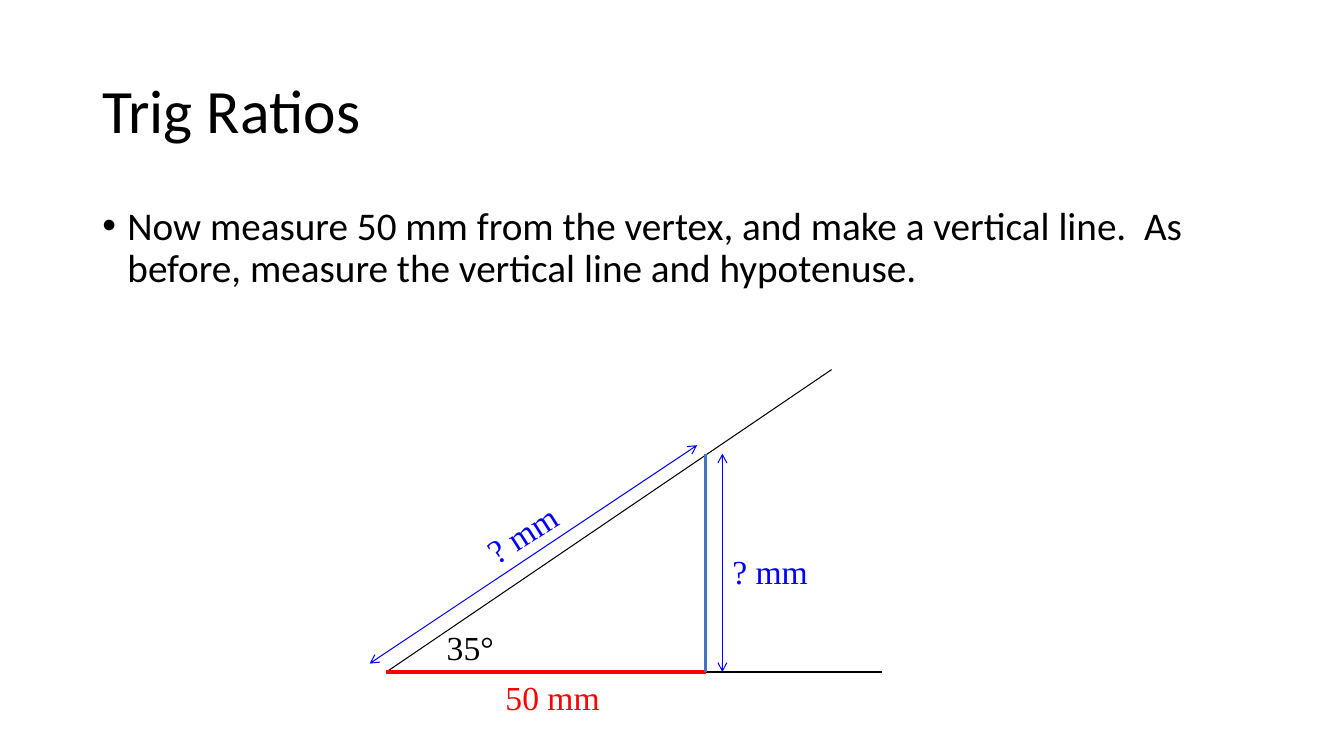
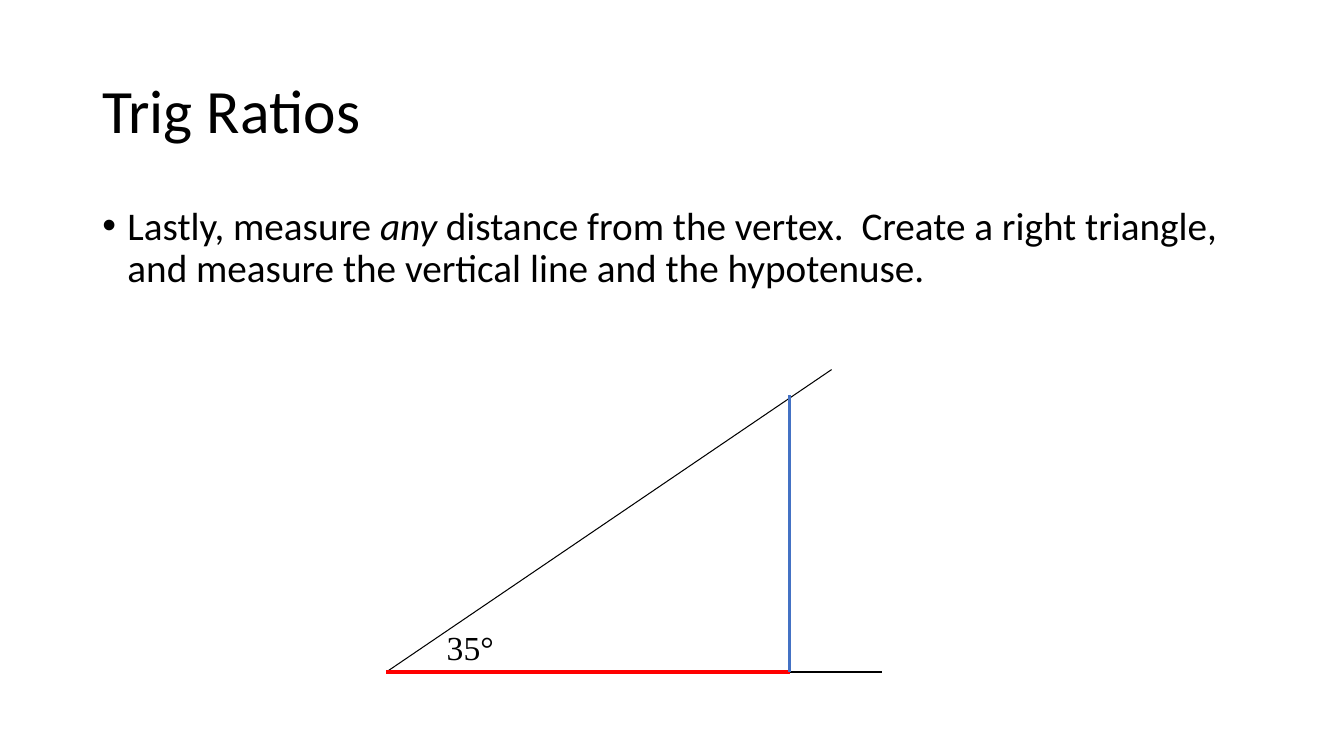
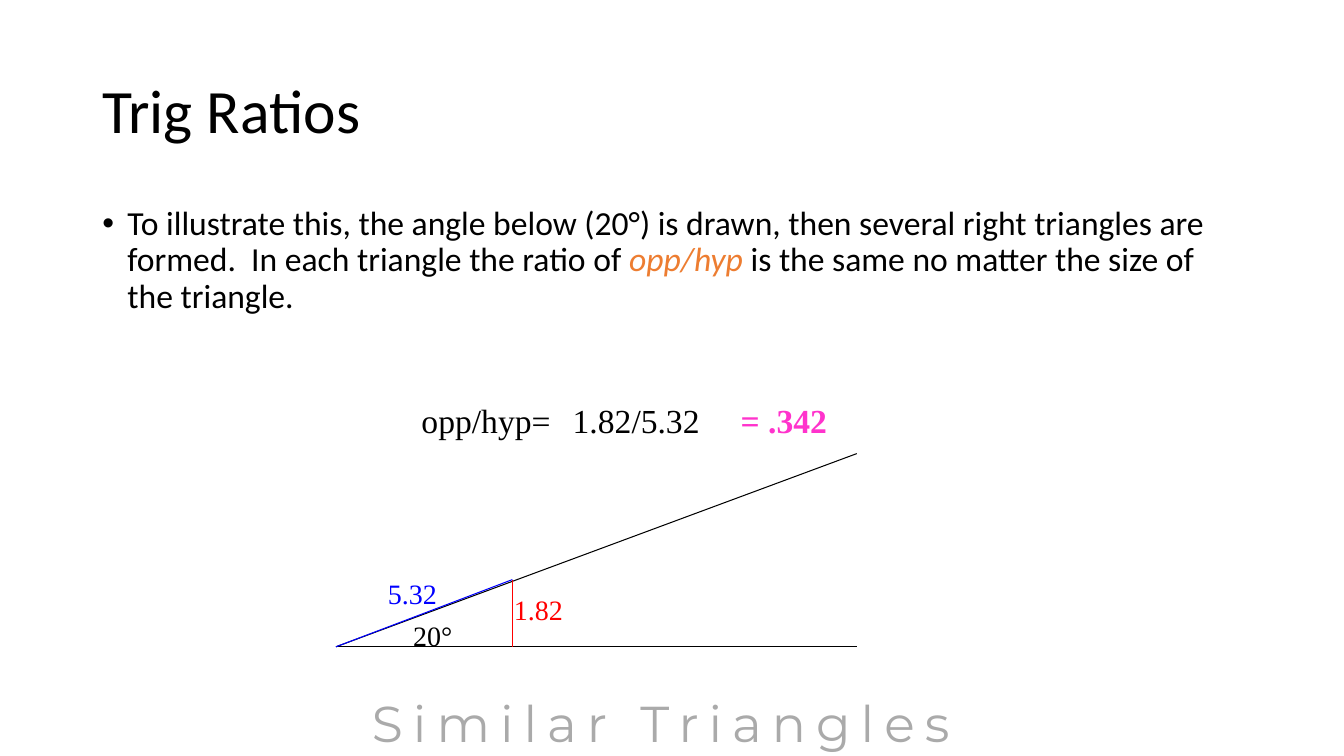
from dataclasses import dataclass

import pptx
import pptx.dml.color
import pptx.enum.shapes
import pptx.enum.text
import pptx.oxml.ns
import pptx.util
from lxml import etree

ALIGN = pptx.enum.text.PP_ALIGN
ANCHOR = pptx.enum.text.MSO_ANCHOR
qn = pptx.oxml.ns.qn

COLUMNS, ROWS = 160, 90  # square cells, twelve to the inch
CELL = pptx.util.Inches(1 / 12)


@dataclass(frozen=True)
class Theme:
    sans: str = "Calibri"
    serif: str = "Times New Roman"
    display: str = "Montserrat"
    paper: str = "FFFFFF"
    ink: str = "000000"
    red: str = "FF0000"
    blue: str = "0000FF"
    steel: str = "4472C4"
    orange: str = "ED7D31"
    pink: str = "FF33CC"
    grey: str = "AAAAAA"
    title: int = 44
    caption: int = 36
    body: int = 28
    label: int = 24
    small: int = 20
    thin: float = 0.75
    thick: float = 2.25


THEME = Theme()


@dataclass(frozen=True)
class Box:
    """A region of the slide in grid cells."""
    left: float
    top: float
    width: float
    height: float

    @property
    def vertex(self):
        return self.left, self.top + self.height

    def from_vertex(self, right, up):
        """The point so many cells right of and above the lower left corner."""
        x, y = self.vertex
        return x + right, y - up


TITLE_BOX = Box(11, 4.8, 138, 17.4)
BODY_BOX = Box(11, 24, 138, 57)
WIDE_ANGLE_BOX = Box(46, 44, 59, 36)
NARROW_ANGLE_BOX = Box(40, 54, 62, 23)
RATIO_BOX = Box(49, 47, 57, 6)
CAPTION_BOX = Box(33.7, 81.8, 90, 8.2)


def cells(*counts):
    return [round(count * CELL) for count in counts]


def rgb(colour):
    return pptx.dml.color.RGBColor.from_string(colour)


def add_text(slide, box, *runs, font=THEME.serif, size=THEME.label, colour=THEME.ink,
             bold=False, align=ALIGN.LEFT, anchor=ANCHOR.TOP, leading=1.0,
             tracking=0, rotation=0, bullet=False):
    """Each run is a string, or a (string, colour) pair for an italic run."""
    holder = slide.shapes.add_textbox(*cells(box.left, box.top, box.width, box.height))
    holder.rotation = rotation
    frame = holder.text_frame
    frame.word_wrap = True
    frame.vertical_anchor = anchor
    paragraph = frame.paragraphs[0]
    if bullet:
        properties = paragraph._p.get_or_add_pPr()
        indent = pptx.util.Inches(0.25)
        properties.set("marL", str(indent))
        properties.set("indent", str(-indent))
        etree.SubElement(properties, qn("a:buFont"), typeface="Arial")
        etree.SubElement(properties, qn("a:buChar"), char="•")
    paragraph.alignment = align
    paragraph.line_spacing = leading
    for entry in runs:
        italic = isinstance(entry, tuple)
        words, run_colour = entry if italic else (entry, colour)
        run = paragraph.add_run()
        run.text = words
        run.font.name = font
        run.font.size = pptx.util.Pt(size)
        run.font.bold = bold
        run.font.italic = italic
        run.font.color.rgb = rgb(run_colour)
        if tracking:
            run.font._element.set("spc", str(round(tracking * 100)))


def add_line(slide, start, end, colour=THEME.ink, weight=THEME.thin, arrows=False):
    connector = slide.shapes.add_connector(
        pptx.enum.shapes.MSO_CONNECTOR.STRAIGHT, *cells(*start, *end))
    connector.line.color.rgb = rgb(colour)
    connector.line.width = pptx.util.Pt(weight)
    properties = connector.element.spPr
    if arrows:
        outline = properties.find(qn("a:ln"))
        for tip in ("a:headEnd", "a:tailEnd"):
            etree.SubElement(outline, qn(tip), type="arrow")
    etree.SubElement(properties, qn("a:effectLst"))


def add_label(slide, box, right, up, width, words, **style):
    """Writes a label whose top left is measured from the vertex of the figure."""
    add_text(slide, Box(*box.from_vertex(right, up), width, 6), words, **style)


def add_angle(slide, box, ray_run):
    add_line(slide, box.vertex, box.from_vertex(box.width, 0))
    add_line(slide, box.vertex, box.from_vertex(ray_run, box.height))


def add_lesson(deck, *body, size=THEME.body):
    """Adds a slide with the shared title and one bulleted paragraph."""
    slide = deck.slides.add_slide(deck.slide_layouts[6])
    slide.background.fill.solid()
    slide.background.fill.fore_color.rgb = rgb(THEME.paper)
    add_text(slide, TITLE_BOX, "Trig Ratios", font=THEME.sans, size=THEME.title,
             anchor=ANCHOR.MIDDLE, leading=0.9)
    add_text(slide, BODY_BOX, *body, font=THEME.sans, size=size, leading=0.9, bullet=True)
    return slide


def draw_wide_triangle(slide, box, base, opposite):
    add_angle(slide, box, ray_run=53)
    add_label(slide, box, 6, 6, 15, "35°")
    foot = box.from_vertex(base, 0)
    add_line(slide, box.vertex, foot, THEME.red, THEME.thick)
    add_line(slide, foot, box.from_vertex(base, opposite), THEME.steel, THEME.thick)


def draw_measurements(slide, box, base, opposite):
    """Marks the known base and the two lengths still to be measured."""
    add_label(slide, box, 13, 0, 19, "50 mm", colour=THEME.red)
    add_line(slide, box.from_vertex(base + 2, opposite), box.from_vertex(base + 2, 0),
             THEME.blue, arrows=True)
    add_line(slide, box.from_vertex(-2, 1), box.from_vertex(base - 1, opposite + 1),
             THEME.blue, arrows=True)
    for right, up, rotation in ((base + 2, 15, 0), (10, 21, 327.5)):
        add_label(slide, box, right, up, 17, "? mm", colour=THEME.blue, rotation=rotation)


def draw_narrow_triangle(slide, box, base, opposite):
    add_angle(slide, box, ray_run=box.width)
    add_label(slide, box, 8, 4, 11, "20°", size=THEME.small)
    apex = box.from_vertex(base, opposite)
    add_line(slide, box.from_vertex(base, 0), apex, THEME.red)
    add_line(slide, box.vertex, apex, THEME.blue)
    add_label(slide, box, base - 1, 7, 13, "1.82", size=THEME.small, colour=THEME.red)
    add_label(slide, box, 5, 9, 13, "5.32", size=THEME.small, colour=THEME.blue)


def write_ratio(slide, box):
    for offset, words, style in (
            (0, "opp/hyp=", {}),
            (18, "1.82/5.32", {}),
            (38, "= .342", {"colour": THEME.pink, "bold": True})):
        add_text(slide, Box(box.left + offset, box.top, 19, box.height), words, **style)


def main():
    deck = pptx.Presentation()
    deck.slide_width, deck.slide_height = cells(COLUMNS, ROWS)

    measured = add_lesson(
        deck, "Now measure 50 mm from the vertex, and make a vertical line.  "
              "As before, measure the vertical line and hypotenuse.")
    draw_wide_triangle(measured, WIDE_ANGLE_BOX, base=38, opposite=26)
    draw_measurements(measured, WIDE_ANGLE_BOX, base=38, opposite=26)

    any_distance = add_lesson(
        deck, "Lastly, measure ", ("any", THEME.ink),
        " distance from the vertex.  Create a right triangle, "
        "and measure the vertical line and the hypotenuse.")
    draw_wide_triangle(any_distance, WIDE_ANGLE_BOX, base=48, opposite=33)

    similar = add_lesson(
        deck, "To illustrate this, the angle below (20°) is drawn, then several right "
              "triangles are formed.  In each triangle the ratio of ",
        ("opp/hyp", THEME.orange),
        " is the same no matter the size of the triangle.", size=THEME.label)
    draw_narrow_triangle(similar, NARROW_ANGLE_BOX, base=21, opposite=8)
    write_ratio(similar, RATIO_BOX)
    add_text(similar, CAPTION_BOX, "Similar Triangles", font=THEME.display,
             size=THEME.caption, colour=THEME.grey, align=ALIGN.CENTER, tracking=7.2)

    deck.save("out.pptx")


if __name__ == "__main__":
    main()
